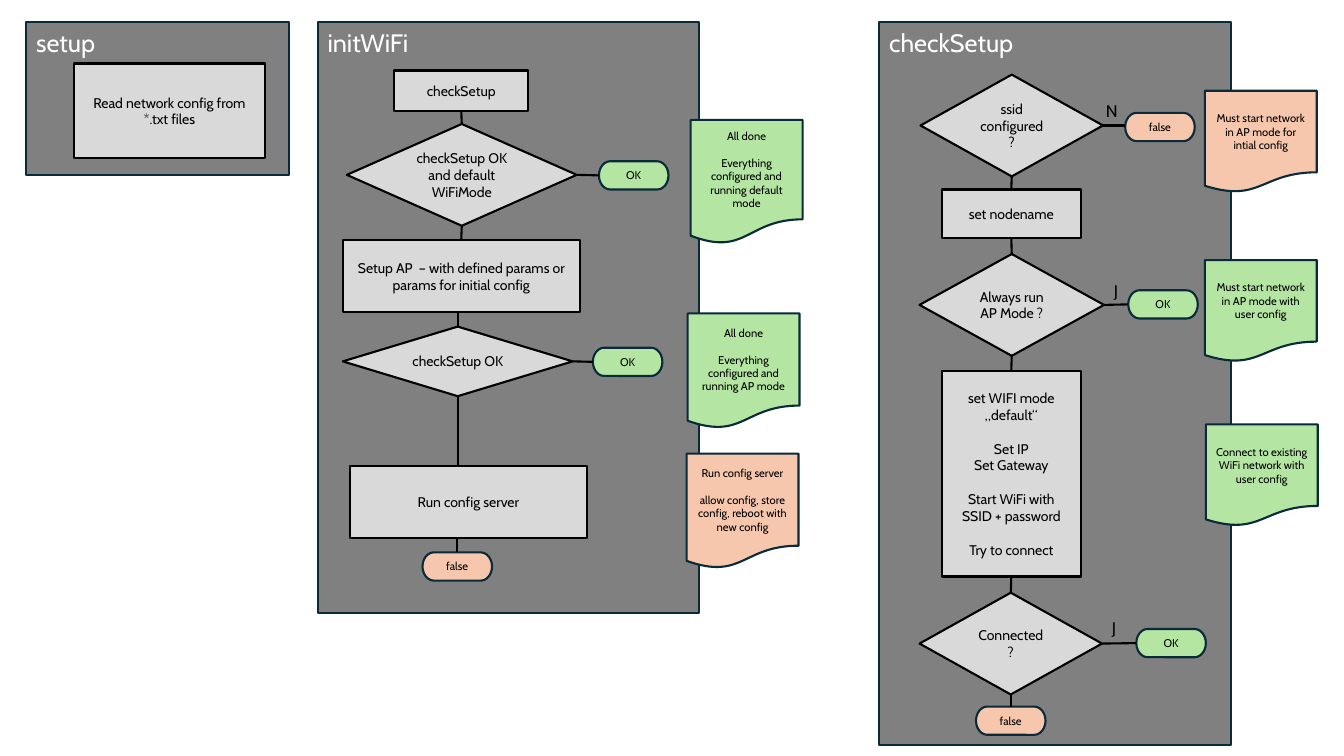
"""Build the flowchart slide for the setup, initWiFi and checkSetup routines."""
from dataclasses import dataclass

import lxml.etree
import pptx
import pptx.dml.color
import pptx.enum.shapes
import pptx.enum.text
import pptx.oxml.ns
import pptx.util

Inches = pptx.util.Inches
RGBColor = pptx.dml.color.RGBColor
SHAPE = pptx.enum.shapes.MSO_SHAPE
ALIGN = pptx.enum.text.PP_ALIGN
ANCHOR = pptx.enum.text.MSO_ANCHOR

BLACK = RGBColor(0x00, 0x00, 0x00)
WHITE = RGBColor(0xFF, 0xFF, 0xFF)
NAVY = RGBColor(0x09, 0x2A, 0x39)
PANEL_GRAY = RGBColor(0x80, 0x80, 0x80)
STEP_GRAY = RGBColor(0xD9, 0xD9, 0xD9)
GREEN = RGBColor(0xB4, 0xE5, 0xA2)
ORANGE = RGBColor(0xF6, 0xC6, 0xAD)

FONT = "Cabin"
LINE_SPACING = 1.21
LINE_WIDTH = pptx.util.Pt(1.5)
TOP, LEFT, BOTTOM, RIGHT = range(4)


@dataclass(frozen=True)
class Style:
    geometry: int
    line: RGBColor
    size: int


PANEL = Style(SHAPE.RECTANGLE, NAVY, 18)
STEP = Style(SHAPE.RECTANGLE, BLACK, 10)
DECISION = Style(SHAPE.DIAMOND, BLACK, 10)
RESULT = Style(SHAPE.FLOWCHART_TERMINATOR, NAVY, 8)
NOTE = Style(SHAPE.FLOWCHART_DOCUMENT, NAVY, 8)


@dataclass(frozen=True)
class Node:
    key: str
    style: Style
    text: str
    left: float
    top: float
    width: float
    height: float
    fill: RGBColor = STEP_GRAY


@dataclass(frozen=True)
class Link:
    start: str
    end: str
    down: bool = True
    glue_start: bool = True
    glue_end: bool = True


@dataclass(frozen=True)
class Label:
    text: str
    left: float
    top: float
    width: float


def result(key: str, text: str, left: float, top: float) -> Node:
    """Describe a result pill, green for OK and orange otherwise."""
    return Node(key, RESULT, text, left, top, 0.69, 0.28, GREEN if text == "OK" else ORANGE)


def note(key: str, text: str, left: float, top: float, height: float, fill: RGBColor) -> Node:
    """Describe an explanatory note."""
    return Node(key, NOTE, text, left, top, 1.11, height, fill)


NODES = [
    Node("setup", PANEL, "setup", 0.26, 0.22, 2.61, 1.52, PANEL_GRAY),
    Node("initWiFi", PANEL, "initWiFi", 3.15, 0.22, 3.78, 5.86, PANEL_GRAY),
    Node("checkSetup", PANEL, "checkSetup", 8.72, 0.22, 3.49, 7.17, PANEL_GRAY),
    Node("read config", STEP, "Read network config from *.txt files", 0.73, 0.63, 1.9, 0.94),
    Node("call check", STEP, "checkSetup", 3.91, 0.7, 1.33, 0.4),
    Node("default mode", DECISION, "checkSetup OK and default WiFiMode", 3.44, 1.23, 2.28, 1.01),
    result("default ok", "OK", 5.94, 1.6),
    Node("setup AP", STEP, "Setup AP  – with defined params or params for initial config",
         3.4, 2.38, 2.35, 0.72),
    Node("AP check", DECISION, "checkSetup OK", 3.4, 3.24, 2.28, 0.69),
    result("AP ok", "OK", 5.88, 3.45),
    Node("config server", STEP, "Run config server", 3.47, 4.62, 2.35, 0.72),
    result("init false", "false", 4.19, 5.48),
    Node("ssid", DECISION, "ssid configured ?", 9.13, 0.74, 1.81, 1.01),
    result("ssid false", "false", 11.16, 1.12),
    Node("nodename", STEP, "set nodename", 9.34, 1.88, 1.38, 0.48),
    Node("always AP", DECISION, "Always run AP Mode ?", 9.12, 2.52, 1.83, 1.01),
    result("always ok", "OK", 11.19, 2.88),
    Node("connect", STEP, "set WIFI mode „default“\n\nSet IP\nSet Gateway\n\n"
         "Start WiFi with SSID + password\n\nTry to connect", 9.34, 3.68, 1.38, 2.04),
    Node("connected", DECISION, "Connected ?", 9.12, 5.88, 1.81, 1.01),
    result("connected ok", "OK", 11.27, 6.24),
    result("connected false", "false", 9.68, 7.01),
    note("default note", "All done\n\nEverything configured and running default mode",
         6.85, 1.19, 1.23, GREEN),
    note("AP note", "All done\n\nEverything configured and running AP mode",
         6.82, 3.11, 1.14, GREEN),
    note("server note", "Run config server\n\nallow config, store config, reboot with new config",
         6.81, 4.5, 1.14, ORANGE),
    note("ssid note", "Must start network in AP mode for intial config", 11.95, 0.9, 1.01, ORANGE),
    note("always note", "Must start network in AP mode with user config", 11.95, 2.58, 1.01, GREEN),
    note("connect note", "Connect to existing WiFi network with user config",
         11.96, 4.21, 1.01, GREEN),
]

LINKS = [
    Link("call check", "default mode"),
    Link("default mode", "default ok", down=False),
    Link("default mode", "setup AP"),
    Link("setup AP", "AP check", glue_start=False),
    Link("AP check", "AP ok", down=False),
    Link("AP check", "config server", glue_end=False),
    Link("config server", "init false", glue_start=False),
    Link("ssid", "ssid false", down=False, glue_end=False),
    Link("ssid", "nodename"),
    Link("nodename", "always AP"),
    Link("always AP", "always ok", down=False),
    Link("always AP", "connect"),
    Link("connect", "connected"),
    Link("connected", "connected ok", down=False),
    Link("connected", "connected false"),
]

LABELS = [Label("N", 10.87, 0.95, 0.32), Label("J", 10.95, 2.74, 0.26), Label("J", 10.93, 6.08, 0.26)]


def write_text(frame, text: str, *, size: int, color: RGBColor = BLACK,
               align=ALIGN.CENTER, anchor=ANCHOR.MIDDLE, wrap: bool = True) -> None:
    """Fill a text frame, spacing the blocks that are split by an empty line."""
    frame.word_wrap = wrap
    frame.vertical_anchor = anchor
    paragraph = None
    for block in text.split("\n\n"):
        for index, line in enumerate(block.split("\n")):
            first = paragraph is None
            paragraph = frame.paragraphs[0] if first else frame.add_paragraph()
            paragraph.alignment = align
            if index == 0 and not first:
                paragraph.space_before = pptx.util.Pt(round(size * LINE_SPACING, 1))
            run = paragraph.add_run()
            run.text = line
            run.font.name = FONT
            run.font.size = pptx.util.Pt(size)
            run.font.color.rgb = color


def draw_node(slide, node: Node):
    """Draw a panel, step, decision, result or note."""
    shape = slide.shapes.add_shape(node.style.geometry, Inches(node.left), Inches(node.top),
                                   Inches(node.width), Inches(node.height))
    shape.shadow.inherit = False
    shape.fill.solid()
    shape.fill.fore_color.rgb = node.fill
    shape.line.color.rgb = node.style.line
    shape.line.width = LINE_WIDTH
    if node.style is PANEL:
        write_text(shape.text_frame, node.text, size=node.style.size, color=WHITE,
                   align=ALIGN.LEFT, anchor=ANCHOR.TOP)
    else:
        write_text(shape.text_frame, node.text, size=node.style.size)
    return shape


def draw_link(slide, link: Link, shapes: dict) -> None:
    """Join two nodes; a loose end lines up with the glued one."""
    start, end = shapes[link.start], shapes[link.end]
    guide = start if link.glue_start else end
    if link.down:
        middle = guide.left + guide.width // 2
        points = (middle, start.top + start.height, middle, end.top)
    else:
        middle = guide.top + guide.height // 2
        points = (start.left + start.width, middle, end.left, middle)
    connector = slide.shapes.add_connector(pptx.enum.shapes.MSO_CONNECTOR.STRAIGHT, *points)
    if link.glue_start:
        connector.begin_connect(start, BOTTOM if link.down else RIGHT)
    if link.glue_end:
        connector.end_connect(end, TOP if link.down else LEFT)
    connector.line.color.rgb = BLACK
    connector.line.width = LINE_WIDTH
    lxml.etree.SubElement(connector._element.spPr, pptx.oxml.ns.qn("a:effectLst"))


def main() -> None:
    """Draw the slide and save it."""
    presentation = pptx.Presentation()
    presentation.slide_width, presentation.slide_height = Inches(13.33), Inches(7.5)
    slide = presentation.slides.add_slide(presentation.slide_layouts[6])
    shapes = {node.key: draw_node(slide, node) for node in NODES}
    for link in LINKS:
        draw_link(slide, link, shapes)
    for label in LABELS:
        box = slide.shapes.add_textbox(Inches(label.left), Inches(label.top),
                                       Inches(label.width), Inches(0.3))
        write_text(box.text_frame, label.text, size=12, align=ALIGN.LEFT,
                   anchor=ANCHOR.TOP, wrap=False)
    presentation.save("out.pptx")


if __name__ == "__main__":
    main()
